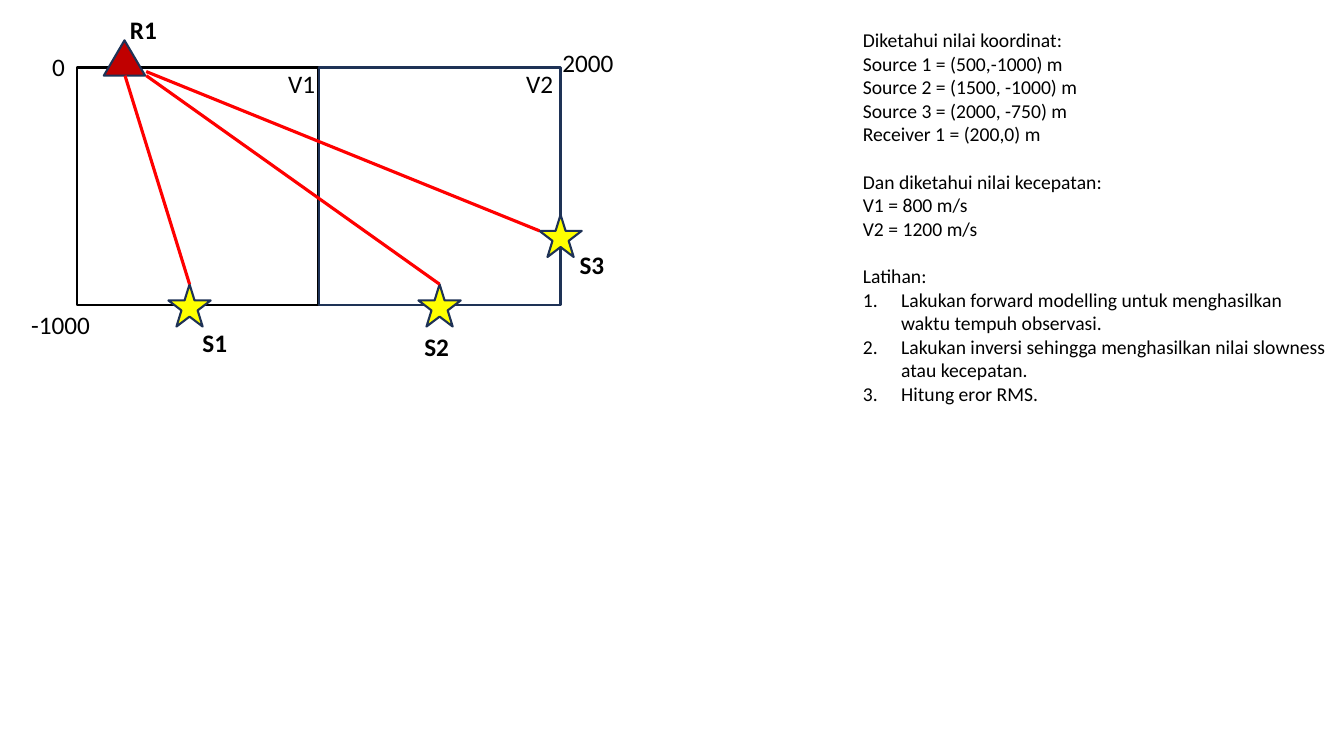
from dataclasses import dataclass

import lxml.etree
import pptx
import pptx.dml.color
import pptx.enum.shapes
import pptx.enum.text
import pptx.oxml.ns
import pptx.util

Inches = pptx.util.Inches
Pt = pptx.util.Pt
Preset = pptx.enum.shapes.MSO_SHAPE

BLACK, NAVY, RED = "000000", "1E3256", "FF0000"
LAYER_WIDTH, LAYER_HEIGHT = 2.4, 2.36
MODEL_LEFT, MODEL_TOP = 0.76, 0.67
STAR_SIZE = 0.42
LIST_INDENT = 0.38
SECTION_GAP = 17


@dataclass
class Figure:
    preset: int
    left: float
    top: float
    width: float
    height: float
    fill: str
    outline: str = NAVY


@dataclass
class Ray:
    x1: float
    y1: float
    x2: float
    y2: float


@dataclass
class Label:
    text: str
    left: float
    top: float
    width: float
    bold: bool = False


@dataclass
class Section:
    heading: str
    lines: list[str]
    numbered: bool = False


def rgb(value: str) -> pptx.dml.color.RGBColor:
    return pptx.dml.color.RGBColor.from_string(value)


def apply(target, values: dict) -> None:
    for attribute, value in values.items():
        setattr(target, attribute, value)


def draw_figure(slide, figure: Figure) -> None:
    shape = slide.shapes.add_shape(
        figure.preset, Inches(figure.left), Inches(figure.top),
        Inches(figure.width), Inches(figure.height))
    shape.shadow.inherit = False
    shape.fill.solid()
    shape.fill.fore_color.rgb = rgb(figure.fill)
    shape.line.color.rgb = rgb(figure.outline)
    shape.line.width = Pt(1.5)


def draw_ray(slide, ray: Ray) -> None:
    line = slide.shapes.add_connector(
        pptx.enum.shapes.MSO_CONNECTOR.STRAIGHT,
        Inches(ray.x1), Inches(ray.y1), Inches(ray.x2), Inches(ray.y2))
    line.line.color.rgb = rgb(RED)
    line.line.width = Pt(2.25)
    lxml.etree.SubElement(line._element.spPr, pptx.oxml.ns.qn("a:effectLst"))


def add_frame(slide, left: float, top: float, width: float, height: float):
    frame = slide.shapes.add_textbox(
        Inches(left), Inches(top), Inches(width), Inches(height)).text_frame
    apply(frame, {"word_wrap": True,
                  "auto_size": pptx.enum.text.MSO_AUTO_SIZE.SHAPE_TO_FIT_TEXT})
    return frame


def write(paragraph, text: str, size: float, bold: bool = False) -> None:
    run = paragraph.add_run()
    run.text = text
    apply(run.font, {"name": "Calibri", "size": Pt(size), "bold": bold})
    run.font.color.rgb = rgb(BLACK)


def draw_label(slide, label: Label) -> None:
    frame = add_frame(slide, label.left, label.top, label.width, 0.4)
    write(frame.paragraphs[0], label.text, 18, label.bold)


def number(paragraph) -> None:
    properties = paragraph._p.get_or_add_pPr()
    properties.set("marL", str(Inches(LIST_INDENT)))
    properties.set("indent", str(-Inches(LIST_INDENT)))
    font = lxml.etree.SubElement(properties, pptx.oxml.ns.qn("a:buFont"))
    font.set("typeface", "+mj-lt")
    numbering = lxml.etree.SubElement(properties, pptx.oxml.ns.qn("a:buAutoNum"))
    numbering.set("type", "arabicPeriod")


def draw_exercise(slide, sections: list[Section]) -> None:
    frame = add_frame(slide, 8.46, 0.23, 4.84, 4.11)
    for index, section in enumerate(sections):
        heading = frame.add_paragraph() if index else frame.paragraphs[0]
        if index:
            heading.space_before = Pt(SECTION_GAP)
        write(heading, section.heading, 14)
        for text in section.lines:
            paragraph = frame.add_paragraph()
            if section.numbered:
                number(paragraph)
            write(paragraph, text, 14)


def main() -> None:
    deck = pptx.Presentation()
    apply(deck, {"slide_width": Inches(13.33), "slide_height": Inches(7.5)})
    slide = deck.slides.add_slide(deck.slide_layouts[6])

    # Two velocity layers, the receiver and the sources
    layers = [Figure(Preset.RECTANGLE, MODEL_LEFT + column * LAYER_WIDTH, MODEL_TOP,
                     LAYER_WIDTH, LAYER_HEIGHT, "FFFFFF", outline)
              for column, outline in enumerate([BLACK, NAVY])]
    receiver = Figure(Preset.ISOSCELES_TRIANGLE, 1.03, 0.4, 0.41, 0.35, "C00000")
    sources = [Figure(Preset.STAR_5_POINT, left, top, STAR_SIZE, STAR_SIZE, "FFFF00")
               for left, top in [(1.67, 2.82), (4.15, 2.82), (5.35, 2.13)]]
    for figure in [*layers, receiver, *sources]:
        draw_figure(slide, figure)

    # Rays from the receiver to each source
    for ray in [Ray(1.24, 0.75, 1.88, 2.82),
                Ray(1.45, 0.75, 4.36, 2.82),
                Ray(1.45, 0.71, 5.35, 2.29)]:
        draw_ray(slide, ray)

    # Names and axis values
    for label in [Label("R1", 1.19, 0.09, 0.48, True),
                  Label("S1", 1.91, 3.2, 0.48, True),
                  Label("S2", 4.11, 3.24, 0.48, True),
                  Label("S3", 5.65, 2.42, 0.48, True),
                  Label("0", 0.42, 0.46, 0.3),
                  Label("-1000", 0.21, 3.02, 0.83),
                  Label("2000", 5.48, 0.42, 0.83),
                  Label("V1", 2.76, 0.63, 0.53),
                  Label("V2", 5.12, 0.63, 0.53)]:
        draw_label(slide, label)

    # Known values and exercise
    draw_exercise(slide, [
        Section("Diketahui nilai koordinat:", [
            "Source 1 = (500,-1000) m",
            "Source 2 = (1500, -1000) m",
            "Source 3 = (2000, -750) m",
            "Receiver 1 = (200,0) m"]),
        Section("Dan diketahui nilai kecepatan:", ["V1 = 800 m/s", "V2 = 1200 m/s"]),
        Section("Latihan:", [
            "Lakukan forward modelling untuk menghasilkan waktu tempuh observasi.",
            "Lakukan inversi sehingga menghasilkan nilai slowness atau kecepatan.",
            "Hitung eror RMS."], numbered=True),
    ])

    deck.save("out.pptx")


if __name__ == "__main__":
    main()
